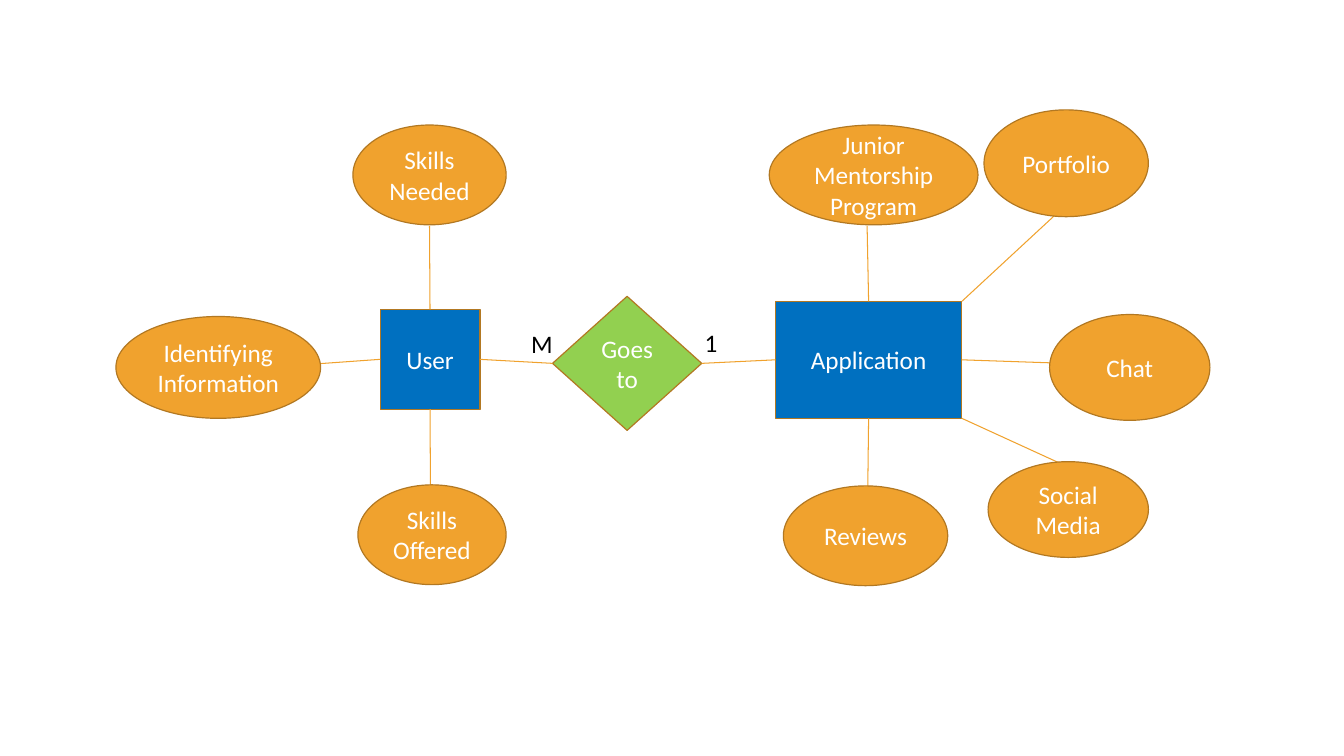
import pptx
import pptx.dml.color
import pptx.enum.shapes
import pptx.enum.text
import pptx.util
from pptx.util import Inches

SHAPES = pptx.enum.shapes.MSO_SHAPE
TOP, LEFT, BOTTOM, RIGHT = range(4)
BLUE, GREEN, ORANGE, BROWN = "0070C0", "92D050", "F0A22E", "B27822"
WHITE, BLACK = "FFFFFF", "000000"

# Text, box, and the end of the link at the ellipse
USER_ATTRIBUTES = [
    ("Skills Needed", (3.5, 1.24, 1.52, 0.99), TOP, (4.26, 2.24)),
    ("Identifying Information", (1.15, 3.14, 2.03, 1.01), LEFT, (3.14, 3.61)),
    ("Skills Offered", (3.55, 4.81, 1.47, 0.99), BOTTOM, (4.27, 4.9)),
]
APPLICATION_ATTRIBUTES = [
    ("Junior Mentorship Program", (7.63, 1.24, 2.07, 0.99), TOP, (8.6, 2.24)),
    ("Chat", (10.41, 3.12, 1.59, 1.05), RIGHT, (10.43, 3.6)),
    ("Reviews", (7.77, 4.82, 1.63, 0.99), BOTTOM, (8.6, 5.41)),
]
# These links start at a corner of the application: text, box, corner, end
CORNER_ATTRIBUTES = [
    ("Portfolio", (9.76, 1.09, 1.63, 1.06), (9.54, 2.99), (10.49, 2.11)),
    ("Social Media", (9.8, 4.58, 1.59, 0.95), (9.54, 4.15), (10.5, 4.59)),
]


def color(hex_value):
    return pptx.dml.color.RGBColor.from_string(hex_value)


def write(shape, text, hex_value, alignment):
    shape.text_frame.word_wrap = True
    paragraph = shape.text_frame.paragraphs[0]
    paragraph.alignment = alignment
    run = paragraph.add_run()
    run.text = text
    run.font.name = "Calibri"
    run.font.size = pptx.util.Pt(18)
    run.font.color.rgb = color(hex_value)


def add_node(slide, kind, text, box, fill):
    shape = slide.shapes.add_shape(kind, *map(Inches, box))
    shape.shadow.inherit = False
    shape.fill.solid()
    shape.fill.fore_color.rgb = color(fill)
    shape.line.color.rgb = color(BROWN)
    shape.line.width = pptx.util.Pt(0.85)
    shape.text_frame.vertical_anchor = pptx.enum.text.MSO_ANCHOR.MIDDLE
    write(shape, text, WHITE, pptx.enum.text.PP_ALIGN.CENTER)
    return shape


def add_link(slide, start=(0, 0), end=(0, 0)):
    connector = slide.shapes.add_connector(
        pptx.enum.shapes.MSO_CONNECTOR.STRAIGHT, *map(Inches, start + end))
    connector.line.color.rgb = color(ORANGE)
    connector.line.width = pptx.util.Pt(0.75)
    connector._element.spPr.append(pptx.oxml.xmlchemy.OxmlElement("a:effectLst"))
    return connector


def add_attributes(slide, entity, attributes):
    """Add ellipses linked to the middle of the entity's sides."""
    for text, box, side, end in attributes:
        add_link(slide, end=end).begin_connect(entity, side)
        add_node(slide, SHAPES.OVAL, text, box, ORANGE)


def add_relationship(slide, user, diamond, application):
    for source, target in ((user, diamond), (diamond, application)):
        connector = add_link(slide)
        connector.begin_connect(source, RIGHT)
        connector.end_connect(target, LEFT)


def add_cardinality(slide, text, box):
    label = slide.shapes.add_textbox(*map(Inches, box))
    write(label, text, BLACK, pptx.enum.text.PP_ALIGN.LEFT)
    label.text_frame.auto_size = pptx.enum.text.MSO_AUTO_SIZE.SHAPE_TO_FIT_TEXT


def main():
    presentation = pptx.Presentation()
    presentation.slide_width = Inches(13.33)
    presentation.slide_height = Inches(7.5)
    slide = presentation.slides.add_slide(presentation.slide_layouts[6])

    application = add_node(slide, SHAPES.RECTANGLE, "Application",
                           (7.69, 2.99, 1.85, 1.16), BLUE)
    user = add_node(slide, SHAPES.RECTANGLE, "User", (3.77, 3.07, 0.99, 0.99), BLUE)
    diamond = add_node(slide, SHAPES.DIAMOND, "Goes to",
                       (5.48, 2.94, 1.48, 1.33), GREEN)
    add_relationship(slide, user, diamond, application)
    add_cardinality(slide, "M", (5.17, 3.21, 0.67, 0.4))
    add_cardinality(slide, "1", (6.89, 3.2, 0.41, 0.4))

    add_attributes(slide, user, USER_ATTRIBUTES)
    add_attributes(slide, application, APPLICATION_ATTRIBUTES)
    for text, box, corner, end in CORNER_ATTRIBUTES:
        add_link(slide, corner, end)
        add_node(slide, SHAPES.OVAL, text, box, ORANGE)

    presentation.save("out.pptx")


if __name__ == "__main__":
    main()
